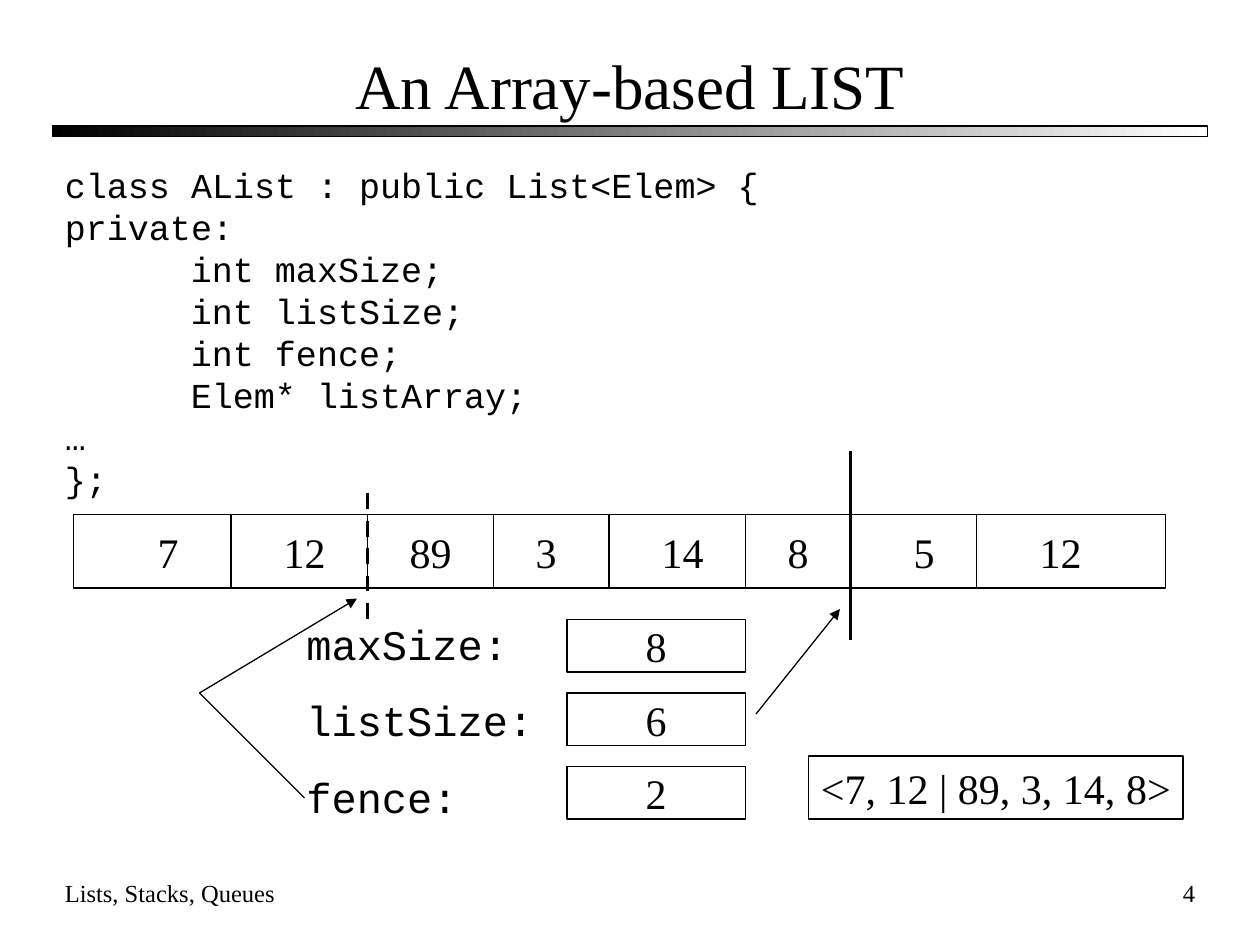
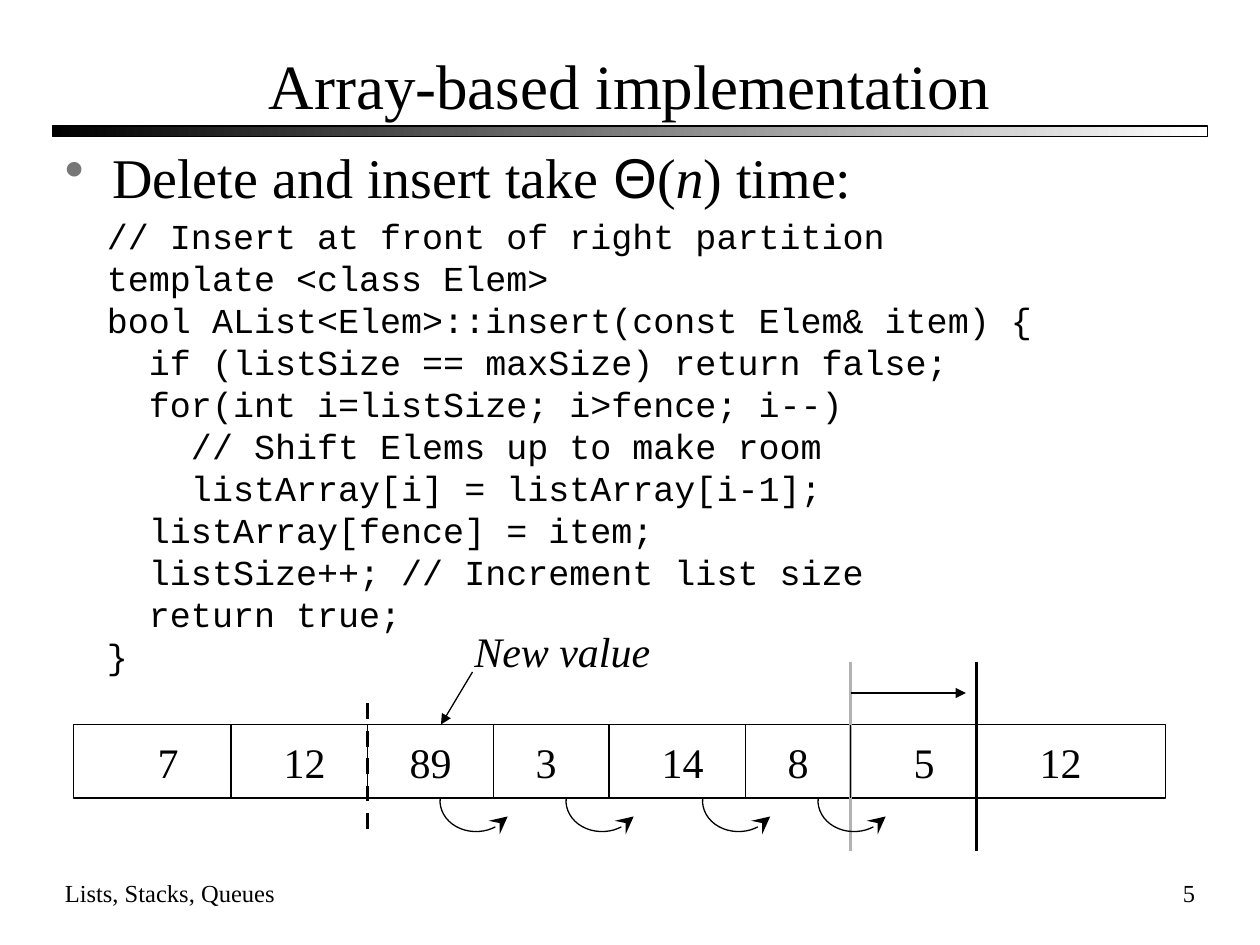
from dataclasses import dataclass

import lxml.etree
import pptx
import pptx.dml.color
import pptx.enum.dml
import pptx.enum.shapes
import pptx.enum.text
import pptx.oxml.ns
import pptx.util

PX = 7620  # 120 px to the inch
Align = pptx.enum.text.PP_ALIGN
Anchor = pptx.enum.text.MSO_ANCHOR
Shape = pptx.enum.shapes.MSO_SHAPE
qn = pptx.oxml.ns.qn


@dataclass(frozen=True)
class Theme:
    black: str = "000000"
    white: str = "FFFFFF"
    grey: str = "B2B2B2"
    bullet: str = "777777"
    serif: str = "Times New Roman"
    mono: str = "Courier New"
    sans: str = "Arial"
    title: int = 36
    body: int = 32
    label: int = 24
    code: int = 20
    footer: int = 14
    thin: float = 0.75
    thick: float = 2.25


theme = Theme()


def add_text(slide, box, lines, size, name=theme.serif, border=0, frame=None, paragraph_format=None, gap=0):
    """Write lines in a box; a line is a string or a list of (text, font values)."""
    place = [length * PX for length in box]
    if border:
        shape = slide.shapes.add_shape(Shape.RECTANGLE, *place)
        shape.shadow.inherit = False
        shape.fill.background()
        shape.line.color.rgb = pptx.dml.color.RGBColor.from_string(theme.black)
        shape.line.width = pptx.util.Pt(border)
    else:
        shape = slide.shapes.add_textbox(*place)
    frame_values = {"word_wrap": True, "vertical_anchor": Anchor.TOP} | (frame or {})
    for attribute, value in frame_values.items():
        setattr(shape.text_frame, attribute, value)
    for index, line in enumerate(lines):
        paragraph = shape.text_frame.paragraphs[0] if index == 0 else shape.text_frame.add_paragraph()
        for attribute, value in ({"alignment": Align.LEFT} | (paragraph_format or {})).items():
            setattr(paragraph, attribute, value)
        if index and gap:
            paragraph.space_before = pptx.util.Pt(gap)
        parts = [(line, {})] if isinstance(line, str) else line
        if any("\t" in text for text, _ in parts):
            tabs = lxml.etree.SubElement(paragraph._p.get_or_add_pPr(), qn("a:tabLst"))
            for inch in range(8):
                lxml.etree.SubElement(tabs, qn("a:tab"), pos=str(inch * 120 * PX), algn="l")
        for text, changes in parts:
            run = paragraph.add_run()
            run.text = text
            for attribute, value in ({"name": name, "size": pptx.util.Pt(size)} | changes).items():
                setattr(run.font, attribute, value)
            run.font.color.rgb = pptx.dml.color.RGBColor.from_string(theme.black)
    return shape


def add_line(slide, start, end, width=theme.thin, color=theme.black, dashed=False, arrow=False):
    points = [length * PX for length in (*start, *end)]
    connector = slide.shapes.add_connector(pptx.enum.shapes.MSO_CONNECTOR.STRAIGHT, *points)
    connector.line.width = pptx.util.Pt(width)
    connector.line.color.rgb = pptx.dml.color.RGBColor.from_string(color)
    if dashed:
        connector.line.dash_style = pptx.enum.dml.MSO_LINE.DASH
    if arrow:
        lxml.etree.SubElement(connector.line._get_or_add_ln(), qn("a:tailEnd"), type="triangle")
    lxml.etree.SubElement(connector._element.spPr, qn("a:effectLst"))


presentation = pptx.Presentation()
presentation.slide_width = 1200 * PX
presentation.slide_height = 900 * PX
middle = {"vertical_anchor": Anchor.MIDDLE}
centred = {"alignment": Align.CENTER}
no_wrap = {"word_wrap": False}

# Array geometry: cell borders, then the fence and the ends of the list
cell_borders = [220, 350, 470, 580, 710, 810, 930]
cell_height = 70
fence_x, list_end_x, new_end_x = 350, 810, 930

# Shared parts: title, gradient band, array, footer
slides = []
for number, title, array_top, end_color in [
    (4, "An Array-based LIST", 490, theme.black),
    (5, "Array-based implementation", 690, theme.grey),
]:
    slide = presentation.slides.add_slide(presentation.slide_layouts[6])
    slides.append(slide)
    band = slide.shapes.add_shape(Shape.RECTANGLE, 50 * PX, 120 * PX, 1100 * PX, 10 * PX)
    band.shadow.inherit = False
    band.fill.gradient()
    band.fill.gradient_angle = 0
    for stop, color in zip(band.fill.gradient_stops, (theme.black, theme.white)):
        stop.color.rgb = pptx.dml.color.RGBColor.from_string(color)
    band.line.color.rgb = pptx.dml.color.RGBColor.from_string(theme.black)
    band.line.width = pptx.util.Pt(theme.thin)
    add_text(slide, (50, 40, 1100, 80), [title], theme.title, frame=middle, paragraph_format=centred)

    add_text(slide, (70, array_top, 1040, cell_height), ["7\t12\t89\t3\t14\t8\t5\t12"], theme.label,
             border=theme.thin, frame=middle | no_wrap, paragraph_format=centred)
    add_line(slide, (list_end_x, array_top - 60), (list_end_x, array_top + 120), theme.thick, end_color)
    add_line(slide, (fence_x, array_top - 20), (fence_x, array_top + 100), theme.thick, dashed=True)
    for x in cell_borders:
        add_line(slide, (x, array_top), (x, array_top + cell_height))

    add_text(slide, (50, 830, 420, 60), ["Lists, Stacks, Queues"], theme.footer)
    add_text(slide, (900, 830, 250, 60), [str(number)], theme.footer,
             paragraph_format={"alignment": Align.RIGHT})

list_slide, insert_slide = slides

# List slide: class code
class_code = """class AList : public List<Elem> {
private:
\tint maxSize;
\tint listSize;
\tint fence;
\tElem* listArray;
…
};"""
add_text(list_slide, (50, 150, 1100, 332), class_code.split("\n"), theme.code, theme.mono)

# List slide: member values
members = {"maxSize:": 8, "listSize:": 6, "fence:": 2}
add_text(list_slide, (280, 583, 240, 206), list(members), theme.label, theme.mono, frame=no_wrap, gap=15)
for row, value in enumerate(members.values()):
    add_text(list_slide, (540, 590 + 70 * row, 170, 50), [str(value)], theme.label,
             border=theme.thin, frame=middle | no_wrap, paragraph_format=centred)

# List slide: pointers to the list end and the fence, and the list notation
add_line(list_slide, (720, 680), (800, 580), arrow=True)
add_line(list_slide, (290, 760), (190, 660))
add_line(list_slide, (190, 660), (340, 570), arrow=True)
add_text(list_slide, (770, 720, 357, 60), ["<7, 12 | 89, 3, 14, 8>"], theme.label, border=1, frame=no_wrap)

# Insert slide: bulleted statement
statement = add_text(insert_slide, (50, 130, 1100, 80), [[
    ("Delete and insert take ", {}),
    ("Θ", {"name": theme.sans}),
    ("(", {}),
    ("n", {"italic": True}),
    (") time:", {}),
]], theme.body)
properties = statement.text_frame.paragraphs[0]._p.get_or_add_pPr()
properties.set("marL", str(45 * PX))
properties.set("indent", str(-45 * PX))
bullet_color = lxml.etree.SubElement(properties, qn("a:buClr"))
lxml.etree.SubElement(bullet_color, qn("a:srgbClr"), val=theme.bullet)
lxml.etree.SubElement(properties, qn("a:buChar"), char="•")

# Insert slide: insert code
insert_code = """// Insert at front of right partition
template <class Elem>
bool AList<Elem>::insert(const Elem& item) {
  if (listSize == maxSize) return false;
  for(int i=listSize; i>fence; i--)
    // Shift Elems up to make room
    listArray[i] = listArray[i-1];
  listArray[fence] = item;
  listSize++; // Increment list size
  return true;
}"""
add_text(insert_slide, (90, 198, 940, 452), insert_code.split("\n"), theme.code, theme.mono)

# Insert slide: curved arrows that shift the elements
for x in (424, 544, 674, 784):
    arc = insert_slide.shapes.add_shape(Shape.ARC, x * PX, 727 * PX, 60 * PX, 70 * PX)
    arc.rotation = 86
    for index, angle in enumerate((302, 98)):
        arc.adjustments[index] = angle * 0.6
    arc.shadow.inherit = False
    arc.fill.background()
    arc.line.color.rgb = pptx.dml.color.RGBColor.from_string(theme.black)
    arc.line.width = pptx.util.Pt(theme.thin)
    lxml.etree.SubElement(arc.line._get_or_add_ln(), qn("a:headEnd"), type="stealth", w="lg", len="lg")

# Insert slide: the list end moves one cell on, and the new value arrives
add_line(insert_slide, (list_end_x, 660), (920, 660), arrow=True)
add_line(insert_slide, (new_end_x, 630), (new_end_x, 810), theme.thick)
add_text(insert_slide, (440, 590, 192, 60), [[("New value", {"italic": True})]], theme.label, frame=no_wrap)
add_line(insert_slide, (450, 640), (420, 690), arrow=True)

presentation.save("out.pptx")
